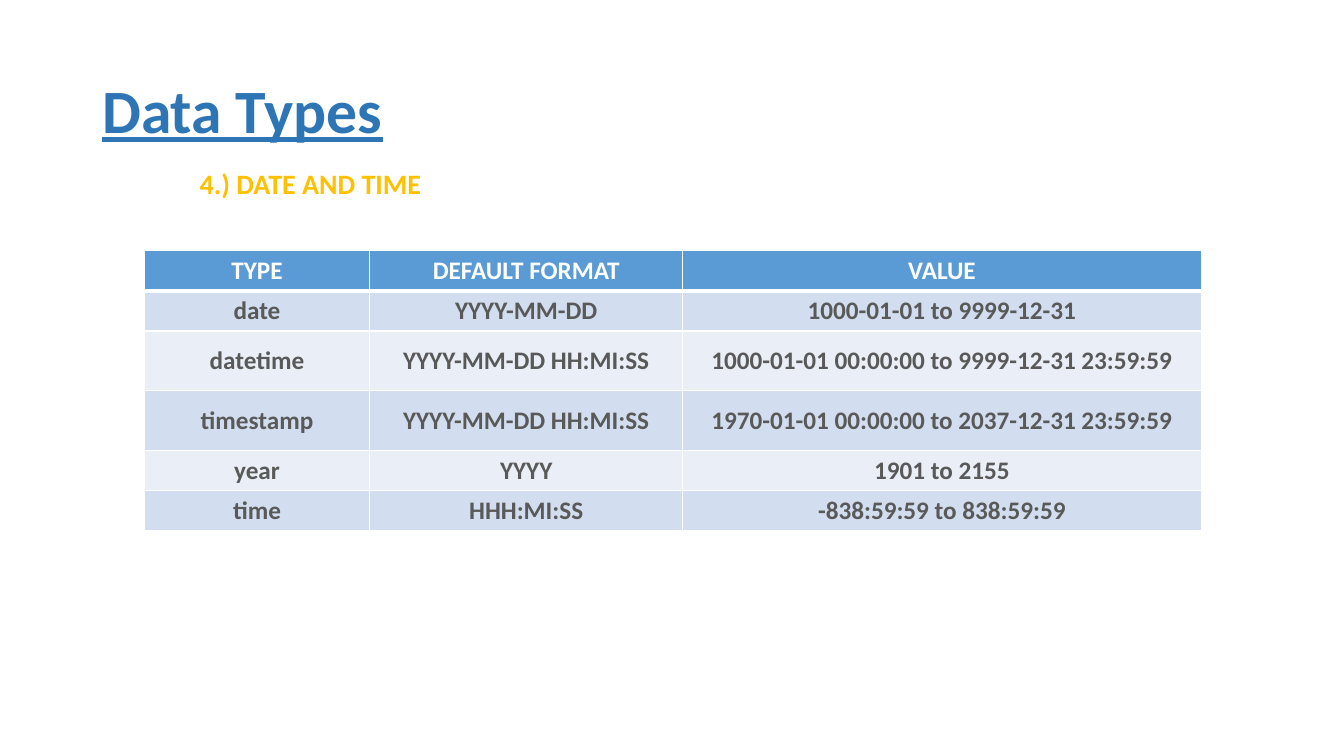
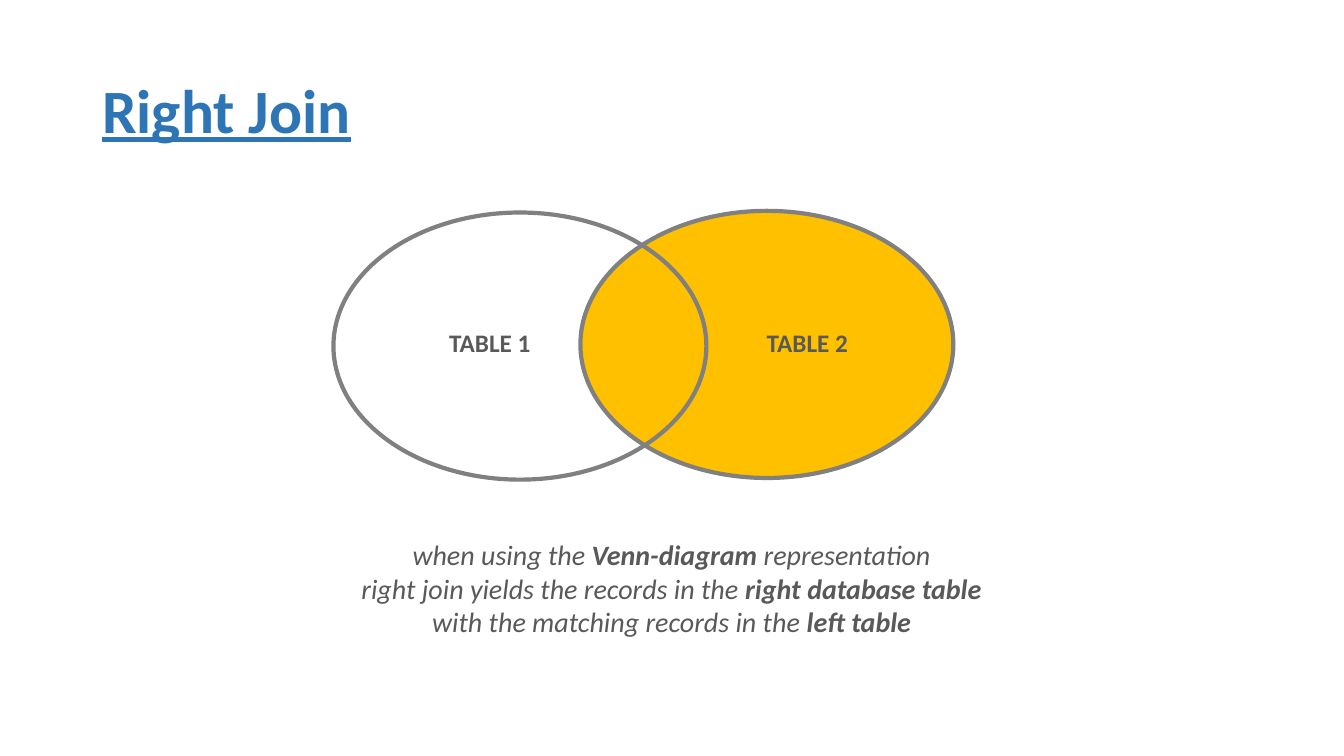
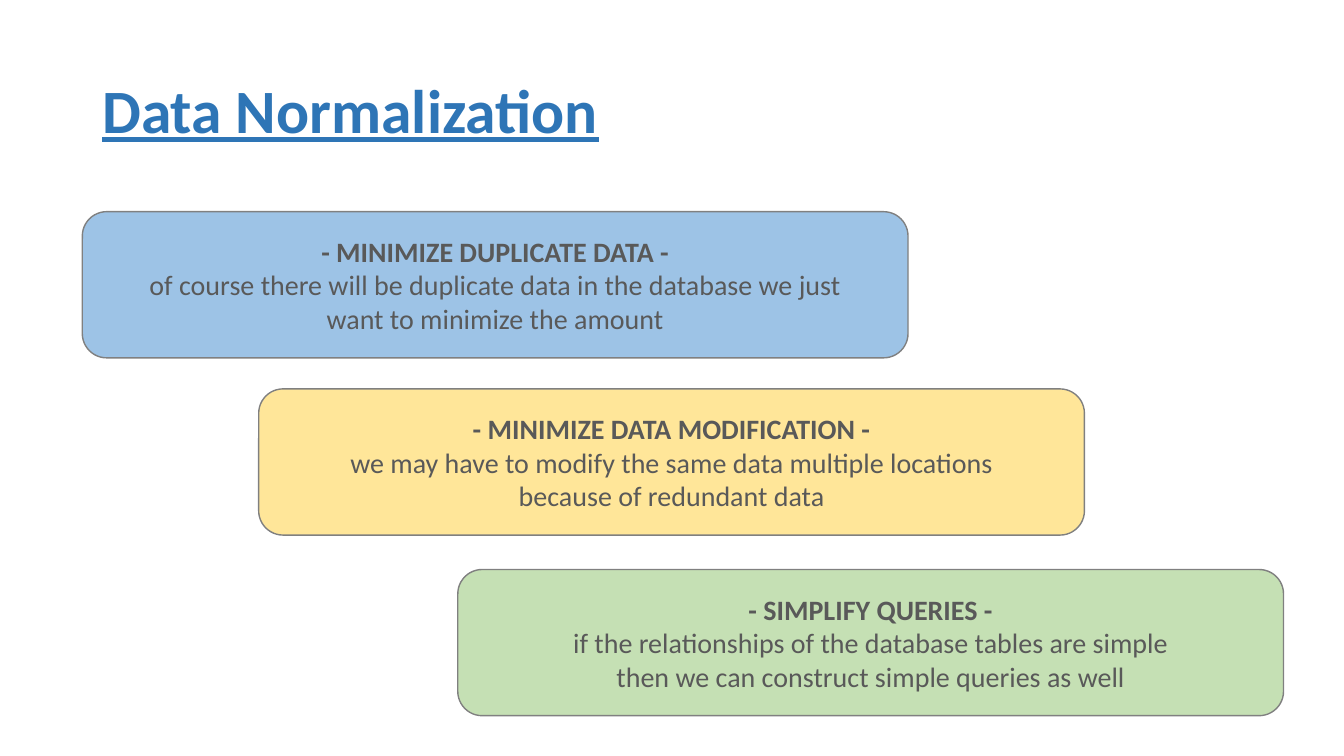
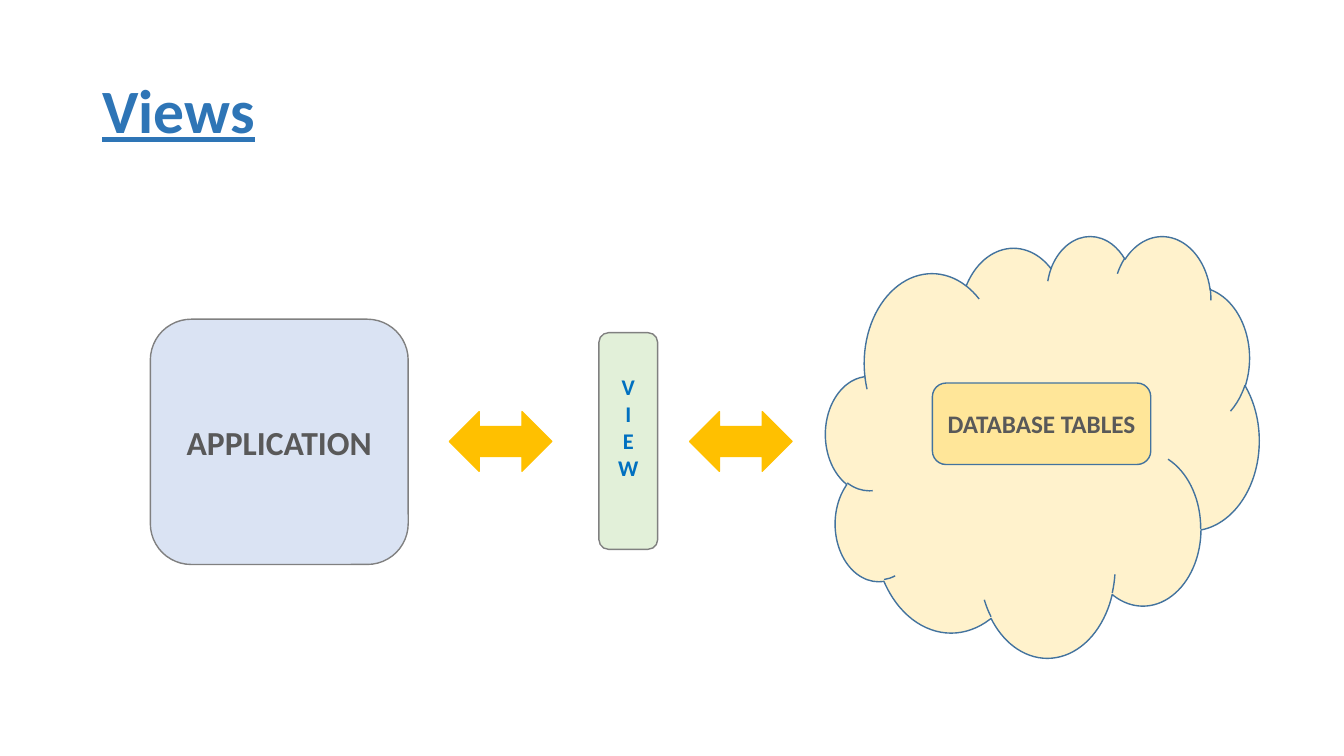
from dataclasses import dataclass

from lxml import etree
from pptx import Presentation, util as u
from pptx.dml import color
from pptx.enum import shapes, text
from pptx.oxml import ns

COLORS = {
    "title": "2E75B6", "gold": "FFC000", "ink": "595959", "white": "FFFFFF",
    "header": "5B9BD5", "band_dark": "D2DEEF", "band_light": "EAEFF7",
    "gray": "808080", "blue": "9DC3E6", "yellow": "FFE699", "green": "C5E0B4",
    "cream": "FFF2CC", "navy": "43739E", "pale_blue": "DAE3F3",
    "pale_green": "E2F0D9", "view": "0070C0",
}
COLUMNS, ROWS = 160, 90
CELL = u.Inches(1) // 12

STYLES = {
    "title": {"size": u.Pt(44), "bold": True, "underline": True},
    "heading": {"size": u.Pt(20), "bold": True},
    "body": {"size": u.Pt(20), "bold": False},
    "caption": {"size": u.Pt(20), "italic": True, "bold": False},
    "caption_strong": {"size": u.Pt(20), "italic": True, "bold": True},
    "label": {"size": u.Pt(18), "bold": True},
    "application": {"size": u.Pt(24), "bold": True},
    "view": {"size": u.Pt(16), "bold": True},
}
CENTER = text.PP_ALIGN.CENTER
MIDDLE = text.MSO_ANCHOR.MIDDLE
ROUNDED = shapes.MSO_SHAPE.ROUNDED_RECTANGLE


@dataclass
class Box:
    left: float
    top: float
    width: float
    height: float

    def area(self, x, y, width, height):
        return Box(self.left + x, self.top + y, width, height)

    def emu(self):
        return [round(n * CELL) for n in (self.left, self.top, self.width, self.height)]


PAGE = Box(0, 0, COLUMNS, ROWS)


def rgb(name):
    return color.RGBColor.from_string(COLORS[name])


def write(frame, lines, ink="ink", **layout):
    for index, runs in enumerate(lines):
        paragraph = frame.add_paragraph() if index else frame.paragraphs[0]
        for attribute, value in layout.items():
            setattr(paragraph, attribute, value)
        for words, style in runs:
            run = paragraph.add_run()
            run.text = words
            run.font.name = "Calibri"
            run.font.color.rgb = rgb(ink)
            for attribute, value in STYLES[style].items():
                setattr(run.font, attribute, value)


def add_text(slide, box, lines, ink="ink", wrap=False, anchor=text.MSO_ANCHOR.TOP, **layout):
    frame = slide.shapes.add_textbox(*box.emu()).text_frame
    frame.word_wrap = wrap
    frame.vertical_anchor = anchor
    write(frame, lines, ink, **layout)


def add_block(slide, kind, box, fill, line="gray", weight=1, lines=(), ink="ink"):
    block = slide.shapes.add_shape(kind, *box.emu())
    block.shadow.inherit = False
    if fill:
        block.fill.solid()
        block.fill.fore_color.rgb = rgb(fill)
    else:
        block.fill.background()
    block.line.color.rgb = rgb(line)
    block.line.width = u.Pt(weight)
    block.text_frame.vertical_anchor = MIDDLE
    write(block.text_frame, lines, ink, alignment=CENTER)
    return block


def add_titled_slide(deck, title):
    slide = deck.slides.add_slide(deck.slide_layouts[6])
    add_text(slide, PAGE.area(11, 4.8, 138, 17.4), [[(title, "title")]], "title",
             wrap=True, anchor=MIDDLE, line_spacing=0.9)
    return slide


def set_borders(cell, weights):
    properties = cell._tc.get_or_add_tcPr()
    for side, weight in zip("LRTB", weights):
        border = etree.SubElement(properties, ns.qn(f"a:ln{side}"), w=str(u.Pt(weight)))
        fill = etree.SubElement(border, ns.qn("a:solidFill"))
        etree.SubElement(fill, ns.qn("a:srgbClr"), val=COLORS["white"])


def add_type_table(slide, box, widths, heights, records):
    table = slide.shapes.add_table(len(heights), len(widths), *box.emu()).table
    for column, width in zip(table.columns, widths):
        column.width = round(width * CELL)
    for index, (row, height, record) in enumerate(zip(table.rows, heights, records)):
        row.height = round(height * CELL)
        band = "band_dark" if index % 2 else "band_light"
        for cell, words in zip(row.cells, record):
            set_borders(cell, (1, 1, 3 if index == 1 else 1, 1 if index else 3))
            cell.fill.solid()
            cell.fill.fore_color.rgb = rgb(band if index else "header")
            cell.vertical_anchor = MIDDLE
            write(cell.text_frame, [[(words, "label")]],
                  "ink" if index else "white", alignment=CENTER)


def add_venn(slide, box):
    circle = (44.4, 31.8)
    ellipse = shapes.MSO_SHAPE.OVAL
    label = (12.2, 4.8)
    add_text(slide, box.area(12.6, 13.3, *label), [[("TABLE 1", "label")]])
    add_block(slide, ellipse, box.area(29.4, 0, *circle), "gold", weight=3)
    add_text(slide, box.area(50.4, 13.3, *label), [[("TABLE 2", "label")]])
    add_block(slide, ellipse, box.area(0, 0.2, *circle), None, weight=3)


def add_goals(slide, box, goals):
    for x, y, fill, heading, *details in goals:
        lines = [[(heading, "heading")]] + [[(detail, "body")] for detail in details]
        add_block(slide, ROUNDED, box.area(x, y, 98.3, 17.4), fill, lines=lines)


def add_view_flow(slide, box):
    add_block(slide, shapes.MSO_SHAPE.CLOUD, box.area(80.4, 0, 51.6, 50.2), "cream", "navy")
    add_block(slide, ROUNDED, box.area(93.1, 17.6, 26, 9.7), "yellow", "navy",
              lines=[[("DATABASE TABLES", "label")]])
    add_block(slide, ROUNDED, box.area(0, 10, 30.7, 29.2), "pale_blue",
              lines=[[("APPLICATION", "application")]])
    view = add_block(slide, ROUNDED, box.area(53.4, 11.6, 7, 25.8), "pale_green",
                     lines=[[(letter, "view")] for letter in "VIEW"], ink="view")
    view.text_frame.margin_bottom = u.Inches(0.32)
    for x in (35.6, 64.2):
        add_block(slide, shapes.MSO_SHAPE.LEFT_RIGHT_ARROW,
                  box.area(x, 21, 12.2, 7.1), "gold", "gold")


def build_data_types(deck):
    slide = add_titled_slide(deck, "Data Types")
    add_text(slide, PAGE.area(22.6, 19.2, 29, 5.3),
             [[("4.) DATE AND TIME", "heading")]], "gold")
    add_type_table(
        slide, PAGE.area(17.2, 29.8, 125.8, 33.4),
        (26.8, 37.3, 61.7), (4.8, 4.8, 7.1, 7.1, 4.8, 4.8),
        [("TYPE", "DEFAULT FORMAT", "VALUE"),
         ("date", "YYYY-MM-DD", "1000-01-01 to 9999-12-31"),
         ("datetime", "YYYY-MM-DD HH:MI:SS", "1000-01-01 00:00:00 to 9999-12-31 23:59:59"),
         ("timestamp", "YYYY-MM-DD HH:MI:SS", "1970-01-01 00:00:00 to 2037-12-31 23:59:59"),
         ("year", "YYYY", "1901 to 2155"),
         ("time", "HHH:MI:SS", "-838:59:59 to 838:59:59")])


def build_right_join(deck):
    slide = add_titled_slide(deck, "Right Join")
    add_venn(slide, PAGE.area(39.7, 25.1, 73.8, 32))
    add_text(slide, PAGE.area(41.6, 63.4, 76.7, 13.3), [
        [("when using the ", "caption"), ("Venn-diagram", "caption_strong"),
         (" representation", "caption")],
        [("right join yields the records in the ", "caption"),
         ("right database table", "caption_strong")],
        [("with the matching records in the ", "caption"),
         ("left table", "caption_strong")],
    ], alignment=CENTER)


def build_normalization(deck):
    slide = add_titled_slide(deck, "Data Normalization")
    add_goals(slide, PAGE.area(9.8, 25.2, 143, 60), [
        (0, 0, "blue", "- MINIMIZE DUPLICATE DATA -",
         "of course there will be duplicate data in the database we just",
         "want to minimize the amount"),
        (21, 21.1, "yellow", "- MINIMIZE DATA MODIFICATION -",
         "we may have to modify the same data multiple locations",
         "because of redundant data"),
        (44.7, 42.6, "green", "- SIMPLIFY QUERIES -",
         "if the relationships of the database tables are simple",
         "then we can construct simple queries as well"),
    ])


def build_views(deck):
    slide = add_titled_slide(deck, "Views")
    add_view_flow(slide, PAGE.area(17.9, 28, 132, 50.2))


def main():
    deck = Presentation()
    deck.slide_width = COLUMNS * CELL
    deck.slide_height = ROWS * CELL
    for build in (build_data_types, build_right_join, build_normalization, build_views):
        build(deck)
    deck.save("out.pptx")


if __name__ == "__main__":
    main()
